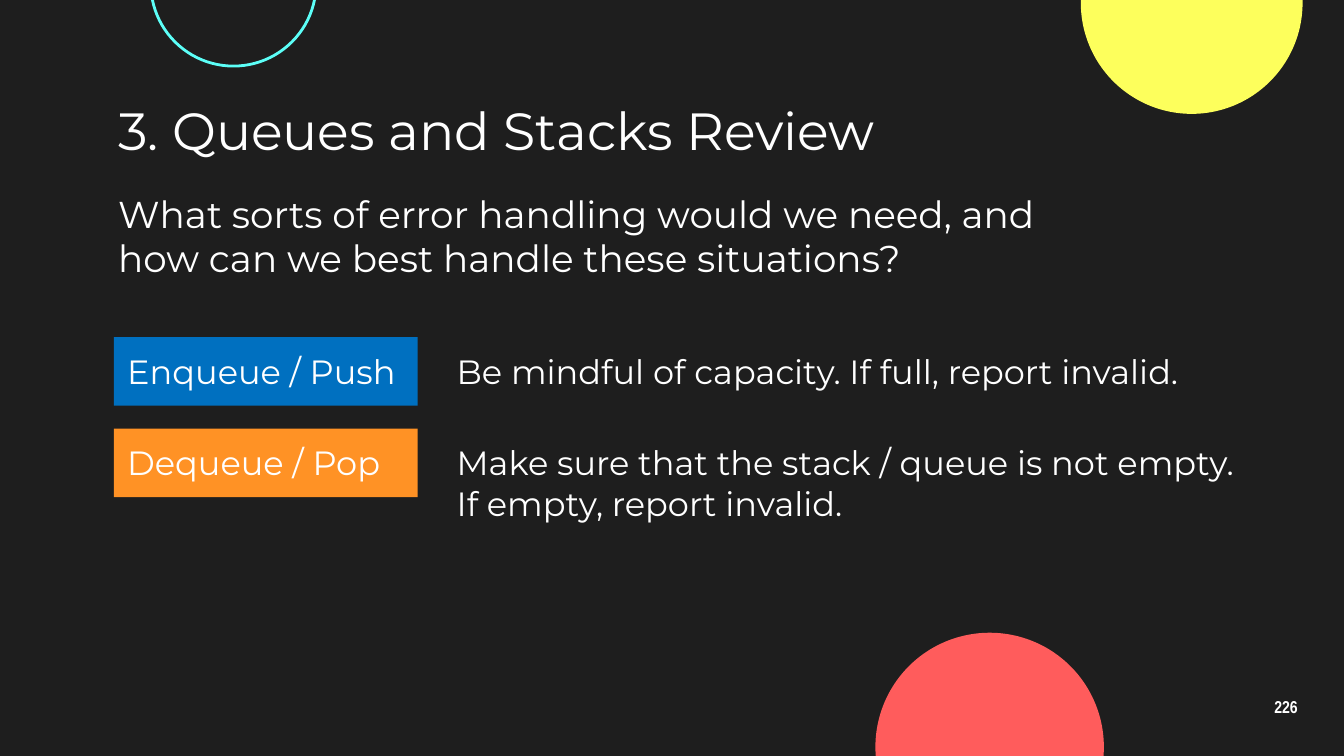
from pptx import Presentation
from pptx.dml.color import RGBColor
from pptx.enum.shapes import MSO_SHAPE
from pptx.enum.text import MSO_ANCHOR, PP_ALIGN
from pptx.util import Pt

OVAL, RECTANGLE = MSO_SHAPE.OVAL, MSO_SHAPE.RECTANGLE
TOP, MIDDLE = MSO_ANCHOR.TOP, MSO_ANCHOR.MIDDLE
LEFT, CENTER = PP_ALIGN.LEFT, PP_ALIGN.CENTER

BOX_HEIGHT = 36.7
ROW_TOP, ROW_STEP = 180.6, 49.1
OPERATIONS = [
    ("Enqueue / Push", "0070C0", ["Be mindful of capacity. If full, report invalid."]),
    ("Dequeue / Pop", "FF9225", ["Make sure that the stack / queue is not empty.",
                                 "If empty, report invalid."]),
]


def color(hex_value):
    return RGBColor.from_string(hex_value)


class SlideBuilder:
    FONT = "Montserrat"
    TEXT_COLOR = "FFFFFF"
    INSET = 7.2

    def __init__(self, slide, background):
        self.slide = slide
        slide.background.fill.solid()
        slide.background.fill.fore_color.rgb = color(background)

    def add_shape(self, kind, left, top, width, height, fill=None, line=None):
        shape = self.slide.shapes.add_shape(kind, Pt(left), Pt(top), Pt(width), Pt(height))
        shape.shadow.inherit = False
        if fill:
            shape.fill.solid()
            shape.fill.fore_color.rgb = color(fill)
        else:
            shape.fill.background()
        if line:
            shape.line.color.rgb = color(line)
            shape.line.width = Pt(1.5)
        else:
            shape.line.fill.background()
        return shape

    def add_circle(self, left, top, diameter, **style):
        self.add_shape(OVAL, left, top, diameter, diameter, **style)

    def add_label(self, text, left, top, width, fill, size):
        shape = self.add_shape(RECTANGLE, left, top, width, BOX_HEIGHT, fill=fill)
        self.set_text(shape.text_frame, [text], size)

    def add_text(self, lines, left, top, width, size, height=BOX_HEIGHT, **style):
        box = self.slide.shapes.add_textbox(Pt(left), Pt(top), Pt(width), Pt(height))
        self.set_text(box.text_frame, lines, size, **style)

    def set_text(self, frame, lines, size, anchor=TOP, align=LEFT, spacing=1.0,
                 font=FONT, bold=False):
        frame_format = {"word_wrap": True, "vertical_anchor": anchor}
        for side in ("left", "top", "right", "bottom"):
            frame_format[f"margin_{side}"] = Pt(self.INSET)
        for name, value in frame_format.items():
            setattr(frame, name, value)
        font_format = {"name": font, "size": Pt(size), "bold": bold}
        for index, line in enumerate(lines):
            paragraph = frame.add_paragraph() if index else frame.paragraphs[0]
            paragraph.alignment = align
            paragraph.line_spacing = spacing
            run = paragraph.add_run()
            run.text = line
            for name, value in font_format.items():
                setattr(run.font, name, value)
            run.font.color.rgb = color(self.TEXT_COLOR)


def main():
    presentation = Presentation()
    presentation.slide_width, presentation.slide_height = Pt(720), Pt(405)
    slide = presentation.slides.add_slide(presentation.slide_layouts[6])
    builder = SlideBuilder(slide, "1E1E1E")

    builder.add_circle(579, -57.8, 118.8, fill="FDFF5C")
    builder.add_circle(80.8, -53.2, 88.6, line="5CFFF8")
    builder.add_circle(469, 339, 122.4, fill="FF5C5C")

    builder.add_text(["226"], 667.4, 367, 43.2, 9.2, height=24.5, anchor=MIDDLE,
                     align=CENTER, spacing=0.9, font="Arial Narrow", bold=True)
    builder.add_text(["What sorts of error handling would we need, and how can we "
                      "best handle these situations?"], 56.2, 95, 547.2, 20)
    builder.add_text(["3. Queues and Stacks Review"], 56.2, 51.1, 607.7, 28, anchor=MIDDLE)

    for row, (operation, fill, advice) in enumerate(OPERATIONS):
        top = ROW_TOP + row * ROW_STEP
        builder.add_label(operation, 61.1, top, 162.7, fill, 18)
        builder.add_text(advice, 237.6, top, 460.8, 18)

    presentation.save("out.pptx")


if __name__ == "__main__":
    main()
